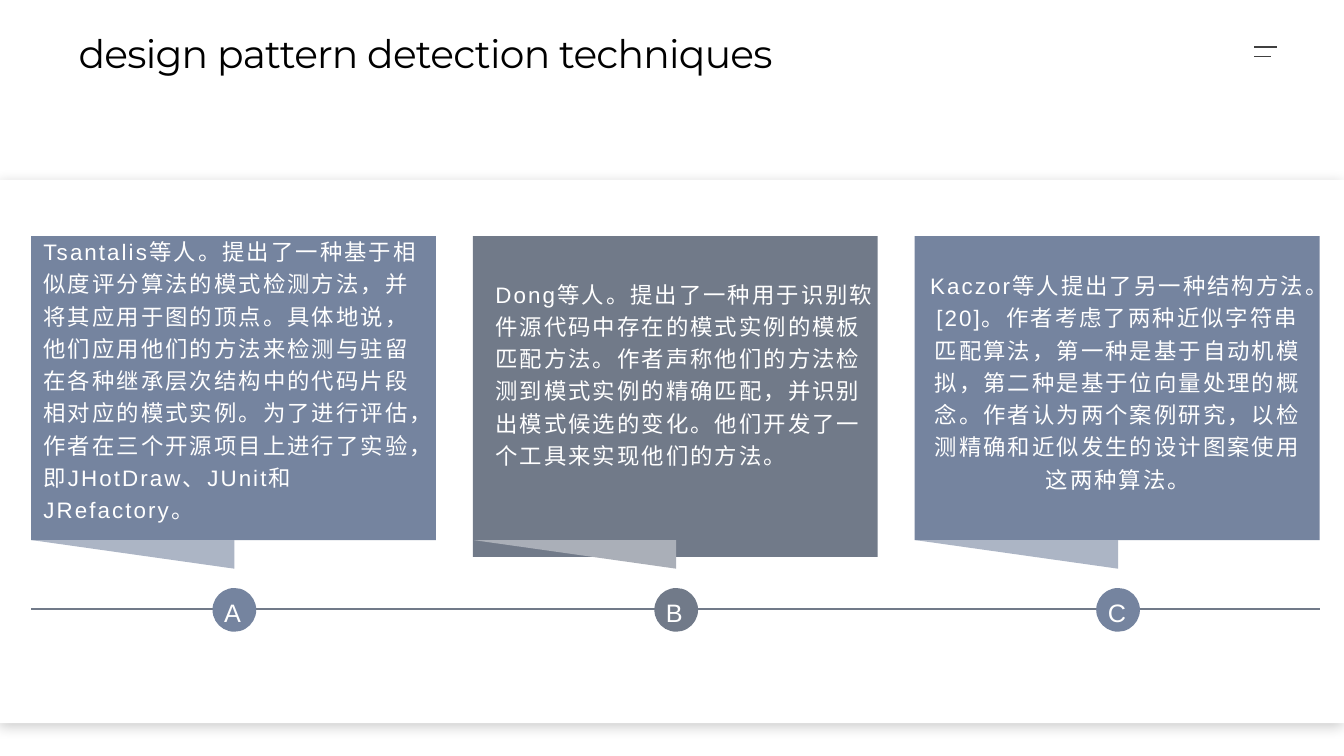
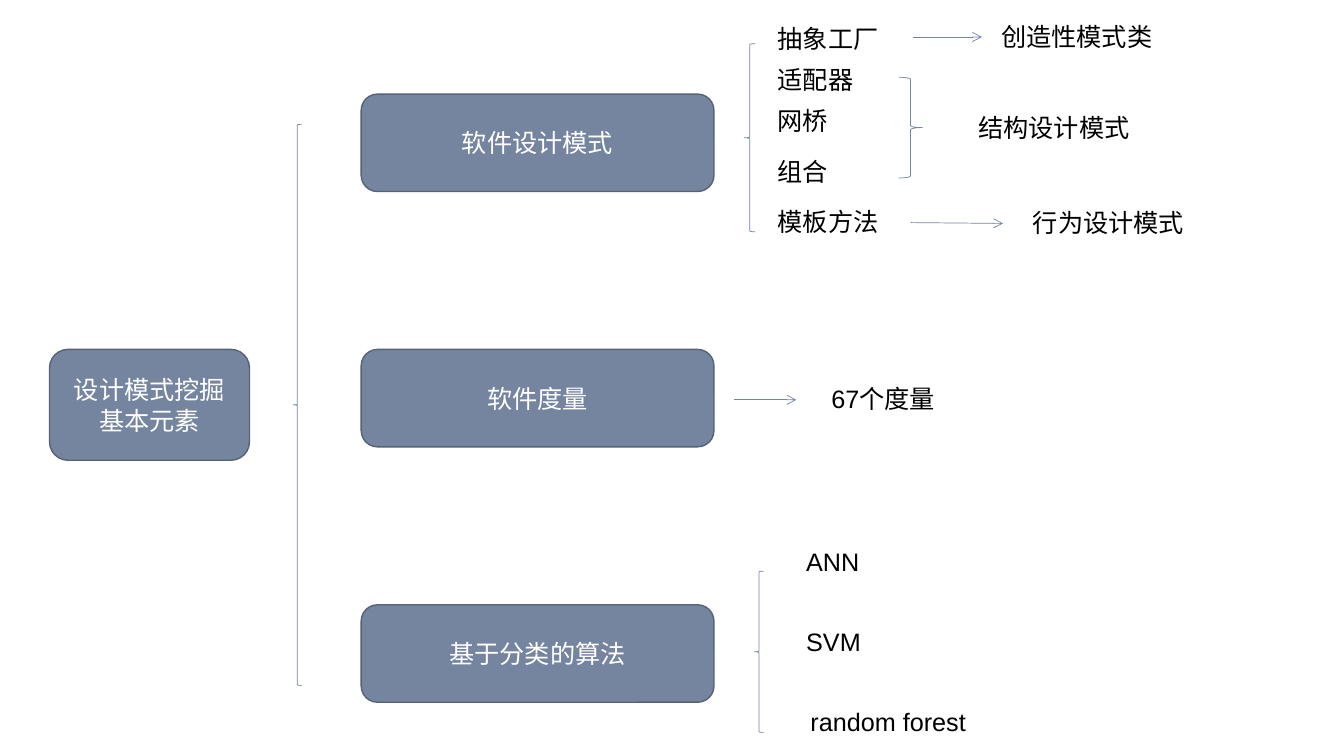
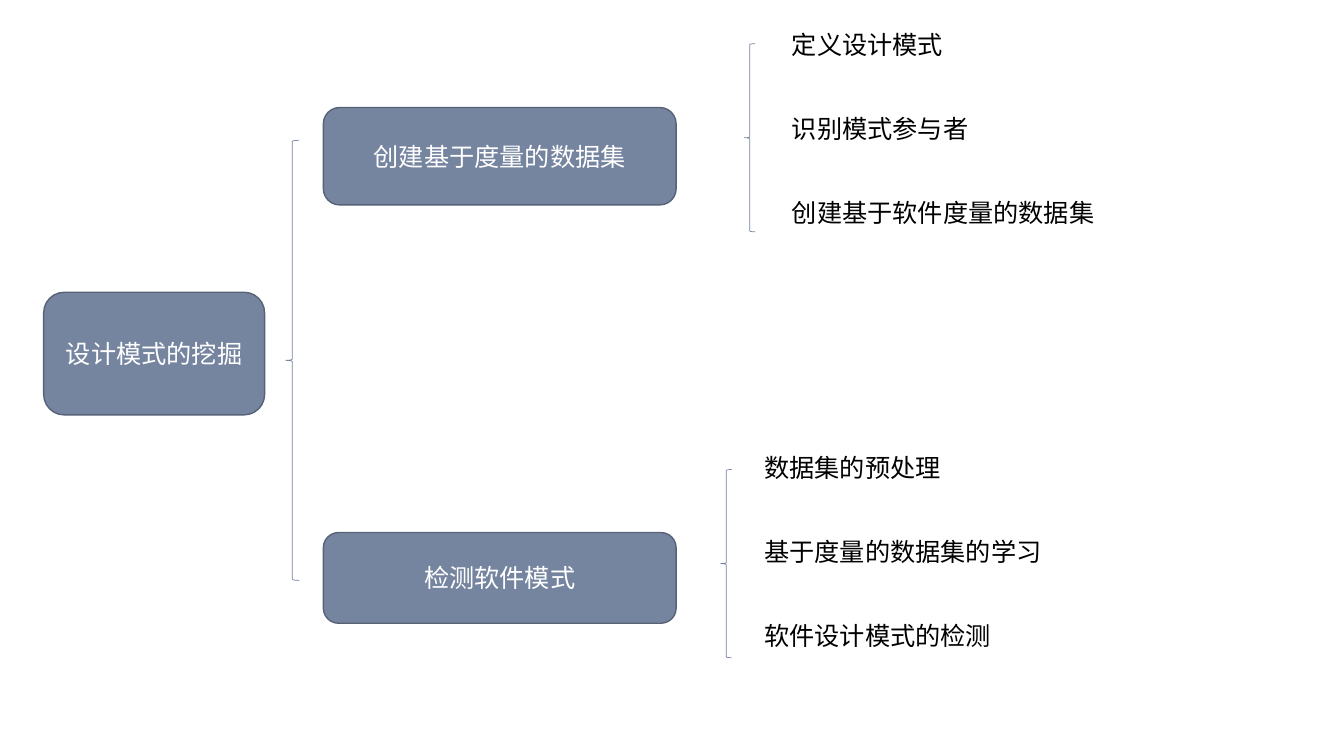
from dataclasses import dataclass

from lxml import etree
from pptx import Presentation
from pptx import util as u
from pptx.dml.color import RGBColor
from pptx.enum import lang, shapes, text
from pptx.oxml.ns import qn


@dataclass(frozen=True)
class Theme:
    blue: str = "75849F"
    grey: str = "717A89"
    edge: str = "576276"
    pale: str = "ACB5C5"
    ash: str = "AAAFB8"
    dark: str = "404040"
    white: str = "FFFFFF"
    black: str = "000000"
    head: str = "Montserrat"
    font: str = "Arial"
    title: int = 28
    label: int = 18
    body: int = 16


T = Theme()
KIND = shapes.MSO_SHAPE
LEFT, MID = text.PP_ALIGN.LEFT, text.PP_ALIGN.CENTER
TOP, HALF = text.MSO_ANCHOR.TOP, text.MSO_ANCHOR.MIDDLE
GROW, FIXED = text.MSO_AUTO_SIZE.SHAPE_TO_FIT_TEXT, text.MSO_AUTO_SIZE.NONE

# The slide is a grid of 16 columns and 9 rows of square cells
deck = Presentation()
deck.slide_height = u.Inches(7.5)
CELL = deck.slide_height / 9
deck.slide_width = round(16 * CELL)


def draw(page, kind, box, fill=None, line=None, width=0.5, arrow=False):
    """Add a shape, text box ("text") or line ("line", box = x1, y1, x2, y2)."""
    spots = [round(n * CELL) for n in box]
    if kind == "text":
        return page.shapes.add_textbox(*spots)
    if kind == "line":
        item = page.shapes.add_connector(shapes.MSO_CONNECTOR.STRAIGHT, *spots)
        etree.SubElement(item._element.spPr, qn("a:effectLst"))
    else:
        item = page.shapes.add_shape(kind, *spots)
        item.shadow.inherit = False
        item.fill.background()
        if fill:
            item.fill.solid()
            item.fill.fore_color.rgb = RGBColor.from_string(fill)
    item.line.fill.background()
    if line:
        item.line.color.rgb = RGBColor.from_string(line)
        item.line.width = u.Pt(width)
    if arrow:
        etree.SubElement(item.line._get_or_add_ln(), qn("a:tailEnd"), type="arrow")
    return item


def write(item, words, size=T.label, color=T.black, font=T.font, align=LEFT,
          anchor=TOP, fit=FIXED, rows=None, after=None, space=None, pad=None):
    frame = item.text_frame
    frame.word_wrap, frame.auto_size, frame.vertical_anchor = True, fit, anchor
    if pad:
        frame.margin_left = frame.margin_right = u.Inches(pad[0])
        frame.margin_top = frame.margin_bottom = u.Inches(pad[1])
    para = frame.paragraphs[0]
    para.alignment, para.line_spacing = align, rows
    if after:
        para.space_after = u.Pt(after)
    run = para.add_run()
    run.text = words
    run.font.name, run.font.size = font, u.Pt(size)
    run.font.color.rgb = RGBColor.from_string(color)
    run.font.language_id = lang.MSO_LANGUAGE_ID.SIMPLIFIED_CHINESE
    if space:
        run.font._element.set("spc", str(round(space * 100)))


# Slide 1: title, menu mark and shadowed panel
page = deck.slides.add_slide(deck.slide_layouts[5])
title = page.shapes.title
title.left, title.top, title.width, title.height = (
    round(n * CELL) for n in (0.84, 0.3, 14.4, 0.74))
write(title, "design pattern detection techniques", size=T.title, font=T.head,
      after=8, space=-0.5, pad=(0.08, 0.04))

panel = draw(page, KIND.RECTANGLE, (0, 2.14, 16, 6.47), T.white)
glow = etree.SubElement(panel._element.spPr.find(qn("a:effectLst")), qn("a:outerShdw"),
                        blurRad=str(u.Pt(10)), dist=str(u.Pt(3)), dir="5400000",
                        algn="t", rotWithShape="0")
tint = etree.SubElement(glow, qn("a:srgbClr"), val=T.black)
etree.SubElement(tint, qn("a:alpha"), val="20000")

for end, y in ((15.2, 0.56), (15.13, 0.67)):
    draw(page, "line", (14.93, y, end, y), line=T.dark, width=1)

# Time line with three cards: letter, fill, fold, height, text box, align, words
draw(page, "line", (0.37, 7.25, 15.71, 7.25), line=T.grey, width=2)
cards = [
    ("A", T.blue, T.pale, 3.62, (0.03, 3.05, 2.9), LEFT,
     "Tsantalis等人。提出了一种基于相似度评分算法的模式检测方法，并将其应用于图的顶点。"
     "具体地说，他们应用他们的方法来检测与驻留在各种继承层次结构中的代码片段相对应的模式实例。"
     "为了进行评估，作者在三个开源项目上进行了实验，即JHotDraw、JUnit和JRefactory。"),
    ("B", T.grey, T.ash, 3.82, (0.15, 3.05, 2.76), LEFT,
     "Dong等人。提出了一种用于识别软件源代码中存在的模式实例的模板匹配方法。"
     "作者声称他们的方法检测到模式实例的精确匹配，并识别出模式候选的变化。"
     "他们开发了一个工具来实现他们的方法。"),
    ("C", T.blue, T.pale, 3.62, (0.02, 3.22, 2.6), MID,
     "Kaczor等人提出了另一种结构方法。[20]。作者考虑了两种近似字符串匹配算法，"
     "第一种是基于自动机模拟，第二种是基于位向量处理的概念。"
     "作者认为两个案例研究，以检测精确和近似发生的设计图案使用这两种算法。"),
]
for i, (mark, fill, fold, high, (dx, top, tall), align, words) in enumerate(cards):
    x = 0.37 + 5.26 * i
    draw(page, KIND.RECTANGLE, (x, 2.81, 4.82, high), fill)
    flap = draw(page, KIND.ISOSCELES_TRIANGLE, (x + 0.01, 6.43, 2.41, 0.34), fold)
    flap.adjustments[0] = 0
    flap.rotation = 180
    write(draw(page, "text", (x + dx, top, 4.8, tall)), words, size=T.body,
          color=T.white, align=align, anchor=HALF, rows=1.2, space=1.5)
    draw(page, KIND.OVAL, (x + 2.16, 7, 0.52, 0.52), fill)
    write(draw(page, "text", (x + 2.18, 6.98, 0.48, 0.55)), mark,
          color=T.white, fit=GROW, rows=1.2)

# Slides 2 and 3: trees of nodes, braces, arrows and labels
trees = [
    dict(
        nodes=[("设计模式挖掘基本元素", 0.59, 4.16, 2.38, 1.32)]
        + [(name, 4.3, 1.12 + 3.04 * i, 4.2, 1.16)
           for i, name in enumerate(["软件设计模式", "软件度量", "基于分类的算法"])],
        left=[(3.49, 1.48, 0.1, 6.68), (8.86, 0.52, 0.13, 2.24), (8.98, 6.8, 0.11, 1.92)],
        right=[(10.7, 0.92, 0.28, 1.2)],
        arrows=[(10.87, 0.44, 11.69, 0.44), (10.84, 2.65, 11.94, 2.66),
                (8.74, 4.76, 9.48, 4.76)],
        labels=[("抽象工厂", 9.14, 0.22), ("适配器", 9.14, 0.71), ("网桥", 9.14, 1.19),
                ("组合", 9.14, 1.8), ("模板方法", 9.14, 2.4),
                ("创造性模式类", 11.8, 0.2), ("结构设计模式", 11.53, 1.28),
                ("行为设计模式", 12.18, 2.41), ("67个度量", 9.78, 4.51),
                ("ANN", 9.48, 6.44), ("SVM", 9.48, 7.4), ("random forest", 9.53, 8.35)],
        wide=3.34,
    ),
    dict(
        nodes=[("设计模式的挖掘", 0.52, 3.48, 2.63, 1.46),
               ("创建基于度量的数据集", 3.85, 1.28, 4.2, 1.16),
               ("检测软件模式", 3.85, 6.34, 4.2, 1.08)],
        left=[(3.4, 1.67, 0.16, 5.24), (8.86, 0.52, 0.13, 2.24), (8.58, 5.59, 0.13, 2.24)],
        right=[],
        arrows=[],
        labels=[(name, x, y + 1.0 * i) for x, y, names in (
            (9.31, 0.29, ["定义设计模式", "识别模式参与者", "创建基于软件度量的数据集"]),
            (8.98, 5.33, ["数据集的预处理", "基于度量的数据集的学习", "软件设计模式的检测"]),
        ) for i, name in enumerate(names)],
        wide=4.03,
    ),
]
for tree in trees:
    page = deck.slides.add_slide(deck.slide_layouts[6])
    for name, *box in tree["nodes"]:
        node = draw(page, KIND.ROUNDED_RECTANGLE, box, T.blue, T.edge, 1)
        write(node, name, color=T.white, align=MID, anchor=HALF)
    for kind, side in ((KIND.LEFT_BRACE, "left"), (KIND.RIGHT_BRACE, "right")):
        for box in tree[side]:
            draw(page, kind, box, line=T.blue)
    for ends in tree["arrows"]:
        draw(page, "line", ends, line=T.blue, arrow=True)
    for name, x, y in tree["labels"]:
        write(draw(page, "text", (x, y, tree["wide"], 0.48)), name, fit=GROW)

deck.save("out.pptx")
